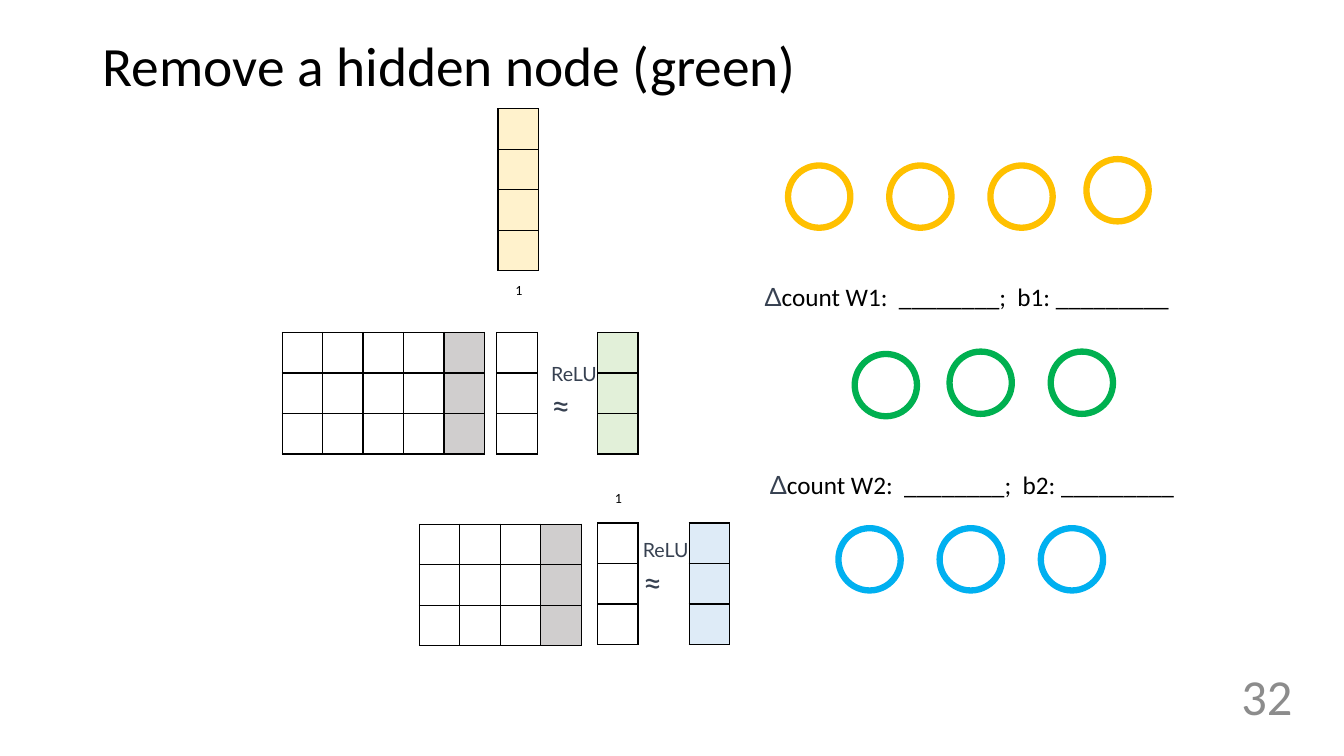
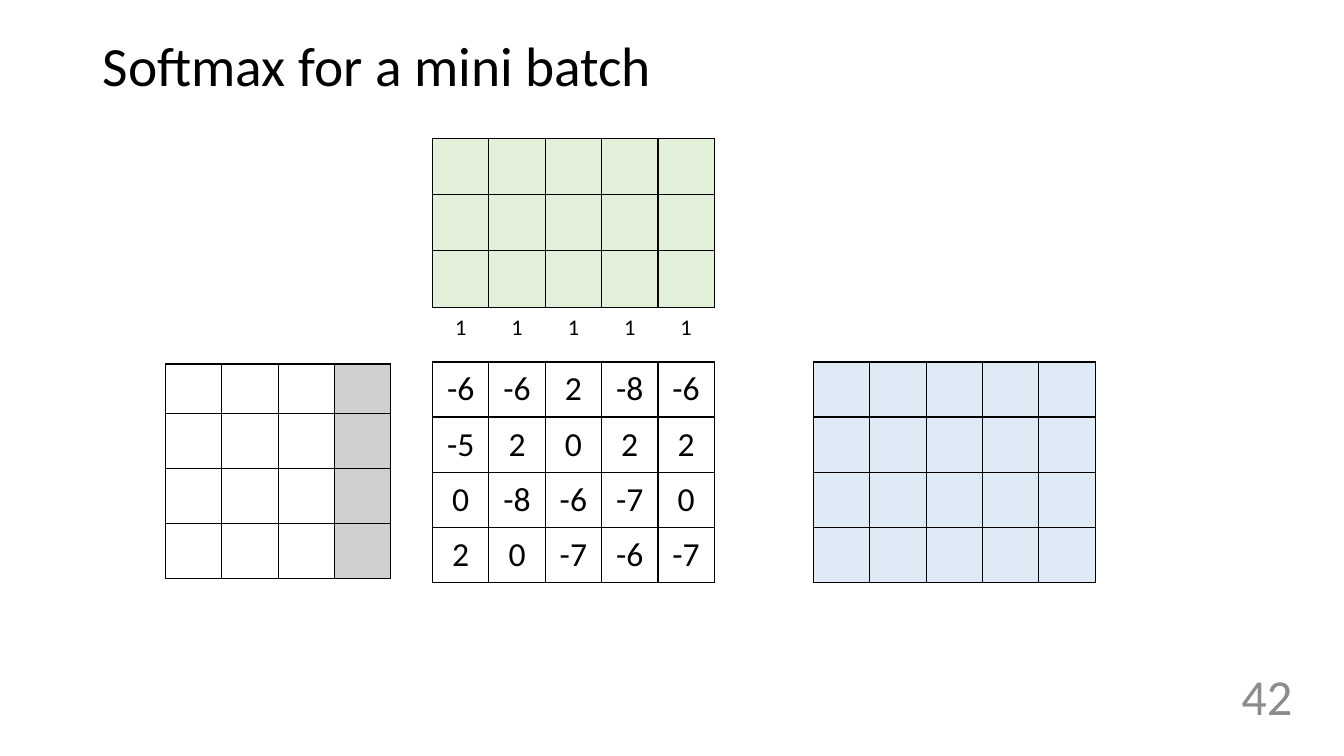
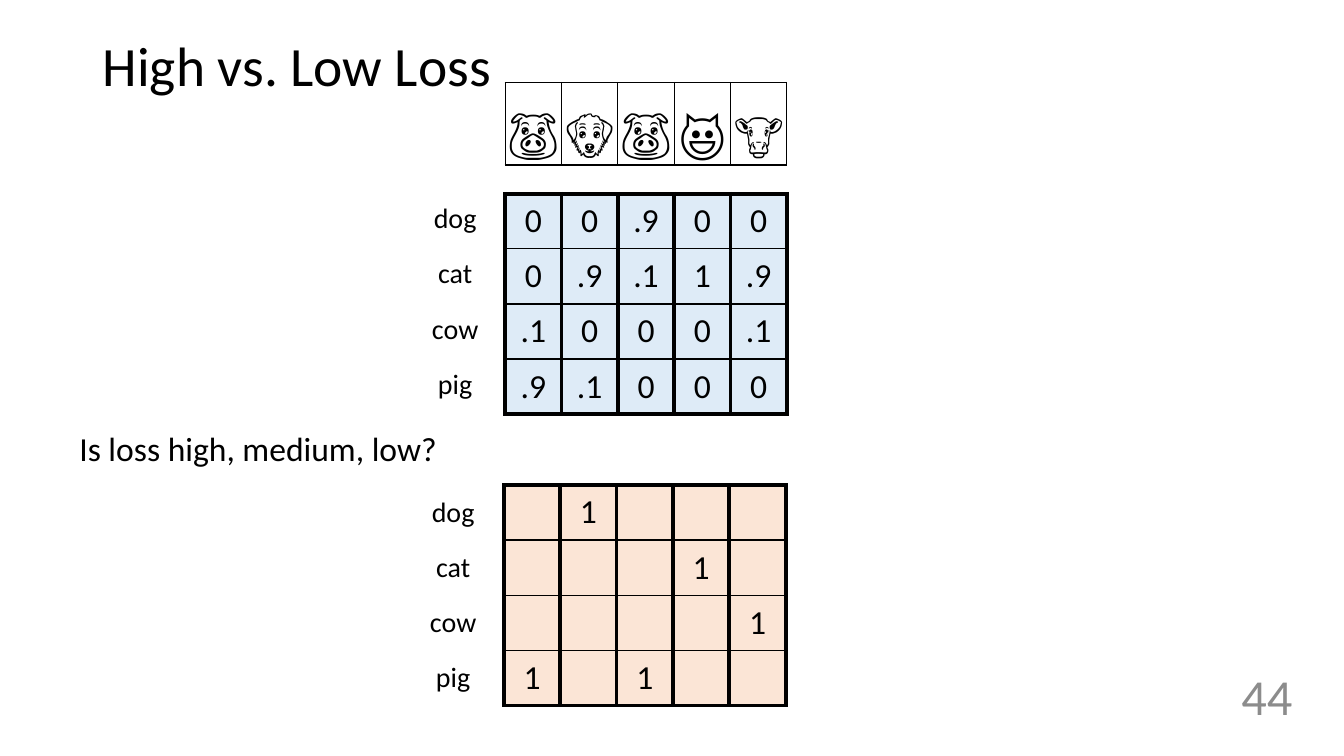
import pptx
import pptx.dml.color
import pptx.enum.shapes
import pptx.enum.text
import pptx.oxml
import pptx.oxml.ns
import pptx.util

Cm = pptx.util.Cm
Pt = pptx.util.Pt
ALIGN = pptx.enum.text.PP_ALIGN
ANCHOR = pptx.enum.text.MSO_ANCHOR

BODY_FONT = "Calibri"
SYMBOL_FONT = "Lato"
BLACK = "000000"
SLATE = "374151"
PAGE_NUMBER_GREY = "8C8C8C"
BIAS_GREY = "D0CECE"
INPUT_YELLOW = "FFF2CC"
HIDDEN_GREEN = "E2F0D9"
OUTPUT_BLUE = "DEEBF7"
TARGET_ORANGE = "FBE5D6"

SMALL_CELL = 1.02
CELL_WIDTH = 1.42
CELL_HEIGHT = 1.39
NODE_SIZE = 1.57
NODE_STEP = 2.55
THIN = 1
THICK = 3


def color(value):
    return pptx.dml.color.RGBColor.from_string(value)


def add_span(para, text, size, font=BODY_FONT, ink=BLACK):
    span = para.add_run()
    span.text = text
    span.font.size = Pt(size)
    span.font.name = font
    span.font.color.rgb = color(ink)


def add_text(page, left, top, width, height, paras, align=ALIGN.LEFT,
             anchor=ANCHOR.TOP, wrap=True, spacing=None):
    """Add a text box; each paragraph is a list of add_span argument tuples."""
    box = page.shapes.add_textbox(Cm(left), Cm(top), Cm(width), Cm(height))
    frame = box.text_frame
    frame.word_wrap = wrap
    frame.vertical_anchor = anchor
    for index, spans in enumerate(paras):
        para = frame.add_paragraph() if index else frame.paragraphs[0]
        para.alignment = align
        para.line_spacing = spacing
        for span in spans:
            add_span(para, *span)


def add_page(deck, title, number):
    page = deck.slides.add_slide(deck.slide_layouts[6])
    add_text(page, 2.34, 1.02, 29.21, 1.4, [[(title, 39.6)]],
             anchor=ANCHOR.MIDDLE, spacing=0.9)
    add_text(page, 29.64, 16.43, 3.18, 2.18,
             [[(str(number), 36, BODY_FONT, PAGE_NUMBER_GREY)]],
             align=ALIGN.RIGHT, anchor=ANCHOR.MIDDLE)
    return page


def set_borders(cell, left, right, top, bottom):
    """Set the four border widths in points; 0 means no line."""
    namespace = pptx.oxml.ns.nsdecls("a")
    properties = cell._tc.get_or_add_tcPr()
    widths = {"lnL": left, "lnR": right, "lnT": top, "lnB": bottom}
    for index, (side, width) in enumerate(widths.items()):
        paint = (f'<a:solidFill><a:srgbClr val="{BLACK}"/></a:solidFill>'
                 if width else "<a:noFill/>")
        properties.insert(index, pptx.oxml.parse_xml(
            f'<a:{side} {namespace} w="{Pt(width)}">{paint}</a:{side}>'))


def add_grid(page, left, top, columns, rows, width=CELL_WIDTH,
             height=CELL_HEIGHT, fill=None, bias=False, values=None, size=24,
             inner=THIN, outer=THIN, anchor=ANCHOR.MIDDLE):
    """Add a table of equal cells.

    inner is the width of lines between rows, outer that of all others;
    bias shades the last column.
    """
    table = page.shapes.add_table(rows, columns, Cm(left), Cm(top),
                                  Cm(width) * columns, Cm(height) * rows).table
    table.first_row = False
    table.horz_banding = False
    for row in range(rows):
        for column in range(columns):
            cell = table.cell(row, column)
            cell.margin_left = cell.margin_right = 0
            cell.margin_top = cell.margin_bottom = 0
            cell.vertical_anchor = anchor
            shade = BIAS_GREY if bias and column == columns - 1 else fill
            if shade:
                cell.fill.solid()
                cell.fill.fore_color.rgb = color(shade)
            else:
                cell.fill.background()
            set_borders(cell, outer, outer, inner if row else outer,
                        inner if row < rows - 1 else outer)
            if values and values[row][column]:
                para = cell.text_frame.paragraphs[0]
                para.alignment = ALIGN.CENTER
                add_span(para, values[row][column], size)
    return table


def add_small_grid(page, left, top, columns, rows, **style):
    add_grid(page, left, top, columns, rows, SMALL_CELL, SMALL_CELL, **style)


def add_node(page, left, top, ink):
    node = page.shapes.add_shape(pptx.enum.shapes.MSO_SHAPE.OVAL, Cm(left),
                                 Cm(top), Cm(NODE_SIZE), Cm(NODE_SIZE))
    node.shadow.inherit = False
    node.fill.background()
    node.line.color.rgb = color(ink)
    node.line.width = Pt(4.5)


def add_node_row(page, left, top, count, ink):
    for index in range(count):
        add_node(page, left + index * NODE_STEP, top, ink)


def add_relu(page, left, top):
    add_text(page, left, top, 1.93, 1.88,
             [[("ReLU", 14, SYMBOL_FONT, SLATE)],
              [("≈", 24, SYMBOL_FONT, SLATE)]])


def add_one(page, left, top):
    add_text(page, left, top, 0.69, 0.69, [[("1", 10)]],
             align=ALIGN.CENTER, wrap=False)


def add_count(page, left, top, layer):
    add_text(page, left, top, 10.77, 1.02, [[
        ("Δ", 18, SYMBOL_FONT, SLATE),
        (f"count W{layer}:  ________;  b{layer}: _________", 18)]])


def add_class_labels(page, left, top):
    labels = [["dog"], ["cat"], ["cow"], ["pig"]]
    add_grid(page, left, top, 1, 4, width=2.26, values=labels, size=20,
             inner=0, outer=0)


def build_hidden_node(deck):
    page = add_page(deck, "Remove a hidden node (green)", 32)

    add_small_grid(page, 12.55, 2.74, 1, 4, fill=INPUT_YELLOW)
    add_one(page, 12.73, 6.96)
    add_small_grid(page, 7.11, 8.38, 5, 3, bias=True)
    add_small_grid(page, 12.52, 8.38, 1, 3)
    add_relu(page, 13.64, 8.99)
    add_small_grid(page, 15.06, 8.38, 1, 3, fill=HIDDEN_GREEN)

    add_one(page, 15.24, 12.22)
    add_small_grid(page, 10.57, 13.21, 4, 3, bias=True)
    add_small_grid(page, 15.06, 13.18, 1, 3)
    add_relu(page, 15.95, 13.44)
    add_small_grid(page, 17.37, 13.18, 1, 3, fill=OUTPUT_BLUE)

    add_node_row(page, 19.86, 4.17, 3, "FFC000")
    add_node(page, 27.38, 4.01, "FFC000")
    add_node(page, 21.54, 8.92, "00B050")
    add_node_row(page, 23.93, 8.86, 2, "00B050")
    add_node_row(page, 21.13, 13.31, 3, "00B0F0")
    add_count(page, 19.02, 6.96, 1)
    add_count(page, 19.15, 11.71, 2)


def build_softmax(deck):
    page = add_page(deck, "Softmax for a mini batch", 42)
    logits = [
        ["-6", "-6", "2", "-8", "-6"],
        ["-5", "2", "0", "2", "2"],
        ["0", "-8", "-6", "-7", "0"],
        ["2", "0", "-7", "-6", "-7"],
    ]
    weights = add_grid(page, 4.17, 9.17, 4, 4, bias=True)
    weights.rows[0].height = Cm(1.24)
    add_grid(page, 10.9, 3.48, 5, 3, height=CELL_WIDTH, fill=HIDDEN_GREEN)
    add_grid(page, 10.9, 7.82, 5, 1, height=0.89, values=[["1"] * 5], size=16,
             inner=0, outer=0)
    add_grid(page, 10.9, 9.12, 5, 4, values=logits)
    add_grid(page, 20.5, 9.12, 5, 4, fill=OUTPUT_BLUE)


def build_loss(deck):
    page = add_page(deck, "High vs. Low Loss", 44)
    animals = [["🐷", "🐶", "🐷", "😺", "🐮"]]
    predictions = [
        ["0", "0", ".9", "0", "0"],
        ["0", ".9", ".1", "1", ".9"],
        [".1", "0", "0", "0", ".1"],
        [".9", ".1", "0", "0", "0"],
    ]
    targets = [
        ["", "1", "", "", ""],
        ["", "", "", "1", ""],
        ["", "", "", "", "1"],
        ["1", "", "1", "", ""],
    ]
    add_grid(page, 12.73, 2.08, 5, 1, height=2.08, values=animals, size=36,
             anchor=ANCHOR.BOTTOM)
    add_grid(page, 12.73, 4.88, 5, 4, fill=OUTPUT_BLUE, values=predictions,
             outer=THICK)
    add_grid(page, 12.7, 12.22, 5, 4, fill=TARGET_ORANGE, values=targets,
             outer=THICK)
    add_class_labels(page, 10.34, 4.83)
    add_class_labels(page, 10.29, 12.22)
    add_text(page, 1.75, 10.67, 9.9, 1.27,
             [[("Is loss high, medium, low?", 24)]])


def main():
    deck = pptx.Presentation()
    deck.slide_width = Cm(33.87)
    deck.slide_height = Cm(19.05)
    build_hidden_node(deck)
    build_softmax(deck)
    build_loss(deck)
    deck.save("out.pptx")


if __name__ == "__main__":
    main()
